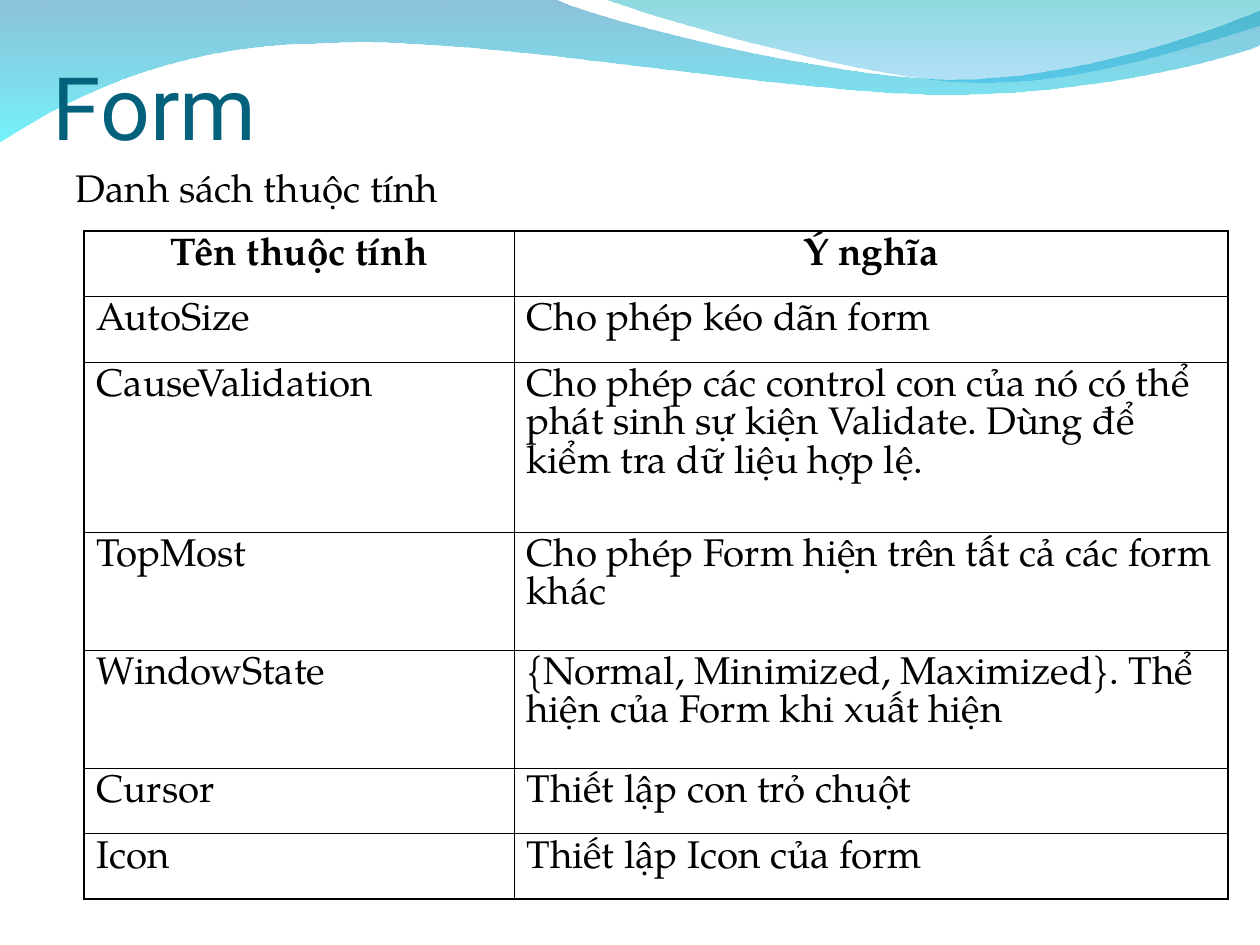
from lxml.etree import SubElement
from pptx import Presentation
from pptx.dml.color import RGBColor
from pptx.enum.text import MSO_ANCHOR, PP_ALIGN
from pptx.oxml.ns import qn
from pptx.util import Emu, Pt

SCALE = 914400 / 126
SERIF = "TeX Gyre Pagella"
THIN, THICK = 0.45, 1.08

WIDE = [(1, 0), (555, 0), (601, 22, 838, 80, 956, 80),
        (1076, 80, 1208, 34, 1261, 12), (1262, 46),
        (1240, 56, 1097, 97, 941, 95), (785, 95, 482, 36, 325, 44),
        (164, 45, 59, 106, 0, 143)]
SHORT = [(0, 0), (37, 15, 255, 79, 365, 83),
         (475, 88, 607, 41, 656, 27), (656, 1)]

COLS = [430, 714]
TALL = [65, 66, 170, 118, 118, 66, 65]
ROWS = [
    ("Tên thuộc tính", "Ý nghĩa"),
    ("AutoSize", "Cho phép kéo dãn form"),
    ("CauseValidation", "Cho phép các control con của nó có thể phát sinh "
                        "sự kiện Validate. Dùng để kiểm tra dữ liệu hợp lệ."),
    ("TopMost", "Cho phép Form hiện trên tất cả các form khác"),
    ("WindowState", "{Normal, Minimized, Maximized}. "
                    "Thể hiện của Form khi xuất hiện"),
    ("Cursor", "Thiết lập con trỏ chuột"),
    ("Icon", "Thiết lập Icon của form"),
]


def px(size):
    return Emu(round(size * SCALE))


def color(code):
    return RGBColor.from_string(code)


def style(para, size, face, code, bold=False):
    for run in para.runs:
        font = run.font
        font.size = Pt(size)
        font.name = face
        font.bold = bold
        font.color.rgb = color(code)


def bend(wave, parts):
    lines = wave._element.spPr.findall(".//" + qn("a:lnTo"))
    for part in parts[1:]:
        first = lines.pop(0)
        if len(part) == 6:
            first.tag = qn("a:cubicBezTo")
            for _ in range(2):
                spare = lines.pop(0)
                first.append(spare[0])
                spare.getparent().remove(spare)


def add_wave(slide, left, top, parts, stops):
    spots = [(px(left + part[i]), px(top + part[i + 1]))
             for part in parts for i in range(0, len(part), 2)]
    pen = slide.shapes.build_freeform(*spots[0], scale=1.0)
    pen.add_line_segments(spots[1:], close=True)
    wave = pen.convert_to_shape()
    bend(wave, parts)
    wave.shadow.inherit = False
    wave.line.fill.background()
    wave.fill.gradient()
    wave.fill.gradient_angle = 270
    for stop, (code, alpha) in zip(wave.fill.gradient_stops, stops):
        stop.color.rgb = color(code)
    tints = wave._element.spPr.iter(qn("a:srgbClr"))
    for tint, (code, alpha) in zip(list(tints), stops):
        SubElement(tint, qn("a:alpha")).set("val", str(alpha * 1000))


def add_label(slide, left, top, width, height, text, inset):
    box = slide.shapes.add_textbox(px(left), px(top), px(width), px(height))
    frame = box.text_frame
    frame.word_wrap = True
    frame.margin_left = frame.margin_right = px(inset)
    frame.text = text
    return frame


def add_title(slide, left, top, width, height):
    frame = add_label(slide, left, top, width, height, "Form", 0)
    frame.margin_bottom = 0
    frame.vertical_anchor = MSO_ANCHOR.BOTTOM
    style(frame.paragraphs[0], 50, "Roboto", "04617B")


def add_body(slide, left, top, width, height):
    frame = add_label(slide, left, top, width, height,
                      "Danh sách thuộc tính", 13)
    para = frame.paragraphs[0]
    para.space_before = Pt(5.5)
    style(para, 22, SERIF, "000000")


def add_edges(cell, sides):
    props = cell._tc.get_or_add_tcPr()
    for side, width in sides.items():
        edge = SubElement(props, qn("a:ln" + side), w=str(Pt(width)))
        fill = SubElement(edge, qn("a:solidFill"))
        SubElement(fill, qn("a:srgbClr"), val="000000")


def add_grid(slide, left, top):
    frame = slide.shapes.add_table(len(ROWS), len(COLS), px(left), px(top),
                                   px(sum(COLS)), px(sum(TALL)))
    table = frame.table
    table.first_row = table.horz_banding = False
    for col, width in zip(table.columns, COLS):
        col.width = px(width)
    for r, (row, height) in enumerate(zip(table.rows, TALL)):
        row.height = px(height)
        for c, text in enumerate(ROWS[r]):
            cell = table.cell(r, c)
            add_edges(cell, {
                "L": THICK if c == 0 else THIN,
                "R": THICK if c == len(COLS) - 1 else THIN,
                "T": THICK if r == 0 else THIN,
                "B": THICK if r == len(ROWS) - 1 else THIN,
            })
            cell.fill.background()
            cell.text_frame.text = text
            para = cell.text_frame.paragraphs[0]
            para.space_before = Pt(5.5)
            para.alignment = PP_ALIGN.LEFT if r else PP_ALIGN.CENTER
            style(para, 22, SERIF, "000000", r == 0)


def main():
    deck = Presentation()
    deck.slide_width, deck.slide_height = px(1260), px(945)
    slide = deck.slides.add_slide(deck.slide_layouts[6])
    add_wave(slide, -1, -1, WIDE, [("0079AF", 45), ("00EBF8", 55)])
    add_wave(slide, 604, -1, SHORT, [("00ADB6", 45), ("009BE5", 30)])
    add_title(slide, 53, 0, 1134, 158)
    add_body(slide, 63, 158, 557, 605)
    add_grid(slide, 84, 231)
    deck.save("out.pptx")


if __name__ == "__main__":
    main()
